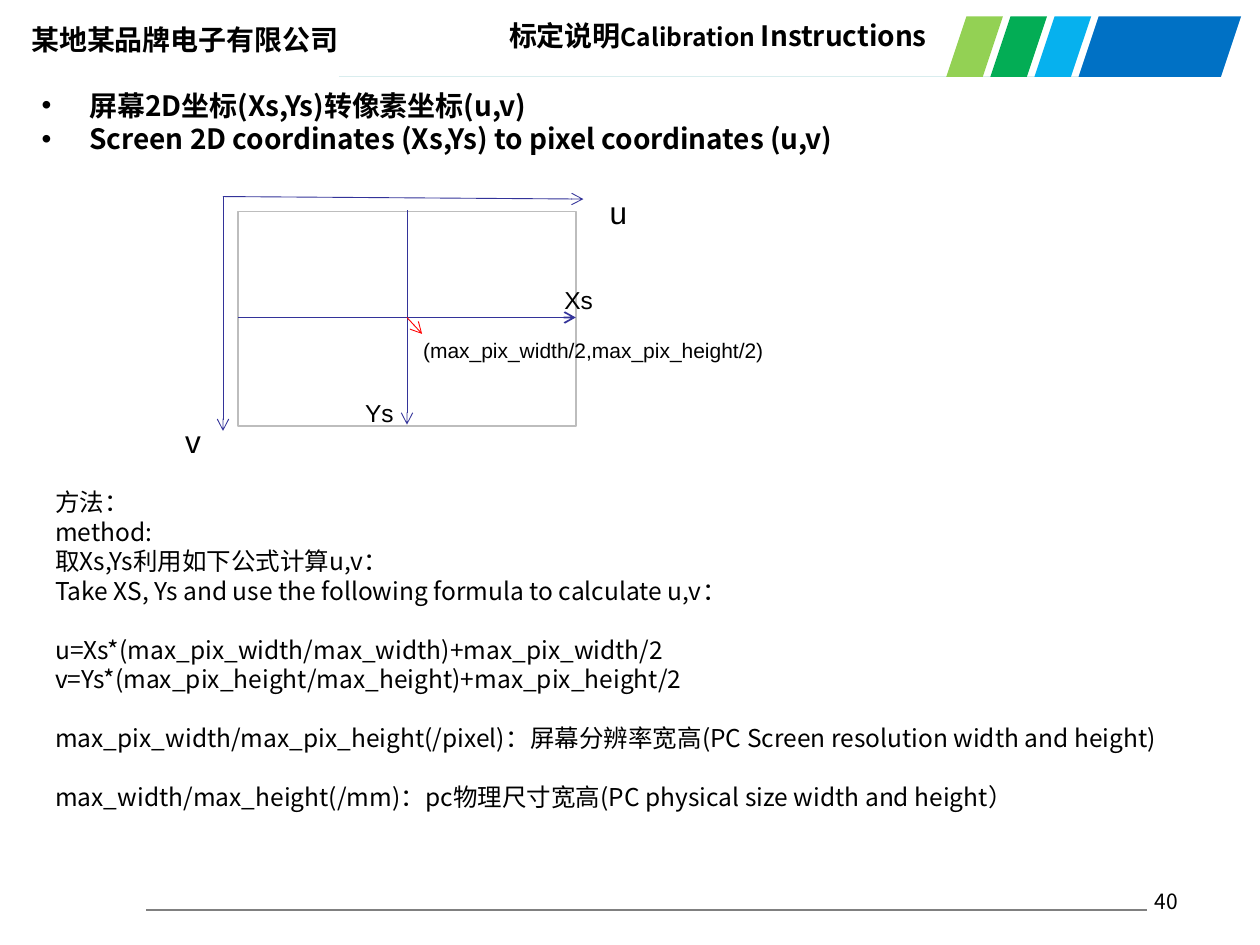
from dataclasses import dataclass

from lxml.etree import SubElement
from pptx import Presentation
from pptx.dml.color import RGBColor
from pptx.enum.shapes import MSO_CONNECTOR, MSO_SHAPE
from pptx.enum.text import MSO_ANCHOR, MSO_AUTO_SIZE, PP_ALIGN
from pptx.oxml.ns import qn
from pptx.util import Inches, Pt

SANS = "Noto Sans CJK SC"
BLACK = "000000"
AXIS = "333399"


@dataclass
class Span:
    text: str
    size: int = 14
    bold: bool = False
    font: str = SANS


@dataclass
class Label:
    text: str
    left: float
    top: float
    width: float
    height: float
    size: int


@dataclass
class Line:
    start: tuple[float, float]
    end: tuple[float, float]
    color: str = AXIS
    weight: float = 0.5
    arrow: bool = True


@dataclass
class Stripe:
    color: str
    width: float = 0.29


def color_of(value: str) -> RGBColor:
    return RGBColor.from_string(value)


def place(box, left: float, top: float, width: float, height: float) -> None:
    box.left, box.top = Inches(left), Inches(top)
    box.width, box.height = Inches(width), Inches(height)


def write(box, paragraphs: list[list[Span]], bullet: bool = False, gaps: tuple = (),
          align=PP_ALIGN.LEFT, anchor=MSO_ANCHOR.TOP, wrap: bool = True) -> None:
    frame = box.text_frame
    frame.word_wrap = wrap
    frame.auto_size = MSO_AUTO_SIZE.NONE
    frame.vertical_anchor = anchor
    for index, spans in enumerate(paragraphs):
        para = frame.paragraphs[0] if index == 0 else frame.add_paragraph()
        para.alignment = align
        leading = 1.2 * max(span.size for span in spans)
        para.line_spacing = Pt(leading)
        para.space_before = Pt(leading if index in gaps else 0)
        if bullet:
            properties = para._p.get_or_add_pPr()
            properties.set("marL", str(Inches(0.38)))
            properties.set("indent", str(-Inches(0.38)))
            SubElement(properties, qn("a:buFont"), typeface="Arial")
            SubElement(properties, qn("a:buChar"), char="•")
        for span in spans:
            run = para.add_run()
            run.text = span.text
            run.font.size = Pt(span.size)
            run.font.bold = span.bold
            run.font.color.rgb = color_of(BLACK)
            run.font.name = span.font
            SubElement(run._r.get_or_add_rPr(), qn("a:ea"), typeface=span.font)


def add_text(page, left: float, top: float, width: float, height: float,
             paragraphs: list[list[Span]], **options) -> None:
    box = page.shapes.add_textbox(Inches(left), Inches(top), Inches(width), Inches(height))
    write(box, paragraphs, **options)


def add_line(page, line: Line) -> None:
    points = [Inches(value) for value in (*line.start, *line.end)]
    connector = page.shapes.add_connector(MSO_CONNECTOR.STRAIGHT, *points)
    connector.line.color.rgb = color_of(line.color)
    connector.line.width = Pt(line.weight)
    if line.arrow:
        SubElement(connector.line._get_or_add_ln(), qn("a:tailEnd"), type="arrow")
    SubElement(connector._element.spPr, qn("a:effectLst"))


def add_stripe(page, stripe: Stripe, left: float) -> None:
    top, bottom, slant = 0.13, 0.61, 0.16
    outline = [(left + slant + stripe.width, top), (left + stripe.width, bottom), (left, bottom)]
    builder = page.shapes.build_freeform(Inches(left + slant), Inches(top))
    builder.add_line_segments([(Inches(x), Inches(y)) for x, y in outline], close=True)
    shape = builder.convert_to_shape()
    shape.shadow.inherit = False
    shape.fill.solid()
    shape.fill.fore_color.rgb = color_of(stripe.color)
    shape.line.fill.background()


def add_header(page) -> None:
    add_line(page, Line((2.69, 0.61), (9.6, 0.61), "D9EDEE", 0.75, arrow=False))
    stripes = [Stripe("93D154"), Stripe("03AD55"), Stripe("06B1EE"), Stripe("0071C5", 1.13)]
    for index, stripe in enumerate(stripes):
        add_stripe(page, stripe, 7.51 + 0.35 * index)
    add_text(page, 0.15, 0.13, 3.03, 0.37, [[Span("某地某品牌电子有限公司", 16, True)]])
    title = page.shapes.title
    place(title, 3.94, 0.1, 4.19, 0.37)
    write(title, [[Span("标定说明", 16, True), Span("Calibration ", 14, True),
                   Span("Instructions", 16, True)]])


def add_footer(page) -> None:
    add_line(page, Line((1.16, 7.22), (9.1, 7.22), "808080", 1, arrow=False))
    add_text(page, 8.94, 7, 0.51, 0.3, [[Span("40", 12)]],
             align=PP_ALIGN.RIGHT, anchor=MSO_ANCHOR.MIDDLE)


def add_diagram(page) -> None:
    screen = page.shapes.add_shape(MSO_SHAPE.RECTANGLE, Inches(1.89), Inches(1.68),
                                   Inches(2.68), Inches(1.7))
    screen.shadow.inherit = False
    screen.fill.solid()
    screen.fill.fore_color.rgb = color_of("FFFFFF")
    screen.line.color.rgb = color_of("BDBDBD")
    screen.line.width = Pt(1)
    center, origin = (3.23, 2.52), (1.77, 1.56)
    for line in (
        Line((1.89, 2.52), (4.57, 2.52), weight=1),
        Line((3.23, 1.67), (3.23, 3.37)),
        Line(origin, (4.63, 1.58)),
        Line(origin, (1.77, 3.42)),
        Line(center, (3.35, 2.65), "FF0000"),
    ):
        add_line(page, line)
    for label in (
        Label("u", 4.74, 1.48, 0.31, 0.4, 18),
        Label("v", 1.37, 3.3, 0.31, 0.4, 18),
        Label("Xs", 4.38, 2.21, 0.49, 0.34, 14),
        Label("Ys", 2.8, 3.11, 0.46, 0.34, 14),
        Label("(max_pix_width/2,max_pix_height/2)", 3.26, 2.63, 3.26, 0.3, 12),
    ):
        add_text(page, label.left, label.top, label.width, label.height,
                 [[Span(label.text, label.size, font="Arial")]], wrap=False)


def main() -> None:
    deck = Presentation()
    deck.slide_width, deck.slide_height = Inches(10), Inches(7.5)
    page = deck.slides.add_slide(deck.slide_layouts[1])
    add_header(page)
    add_footer(page)
    body = page.placeholders[1]
    place(body, 0.23, 0.65, 8.16, 0.91)
    topics = ["屏幕2D坐标(Xs,Ys)转像素坐标(u,v)",
              "Screen 2D coordinates (Xs,Ys) to pixel coordinates (u,v)"]
    write(body, [[Span(topic, 16, True)] for topic in topics], bullet=True)
    add_diagram(page)
    method = [
        "方法：",
        "method:",
        "取Xs,Ys利用如下公式计算u,v：",
        "Take XS, Ys and use the following formula to calculate u,v：",
        "u=Xs*(max_pix_width/max_width)+max_pix_width/2",
        "v=Ys*(max_pix_height/max_height)+max_pix_height/2",
        "max_pix_width/max_pix_height(/pixel)：屏幕分辨率宽高(PC Screen resolution width and height)",
        "max_width/max_height(/mm)：pc物理尺寸宽高(PC physical size width and height）",
    ]
    add_text(page, 0.34, 3.82, 9.57, 2.93, [[Span(text)] for text in method], gaps=(4, 6, 7))
    deck.save("out.pptx")


if __name__ == "__main__":
    main()
